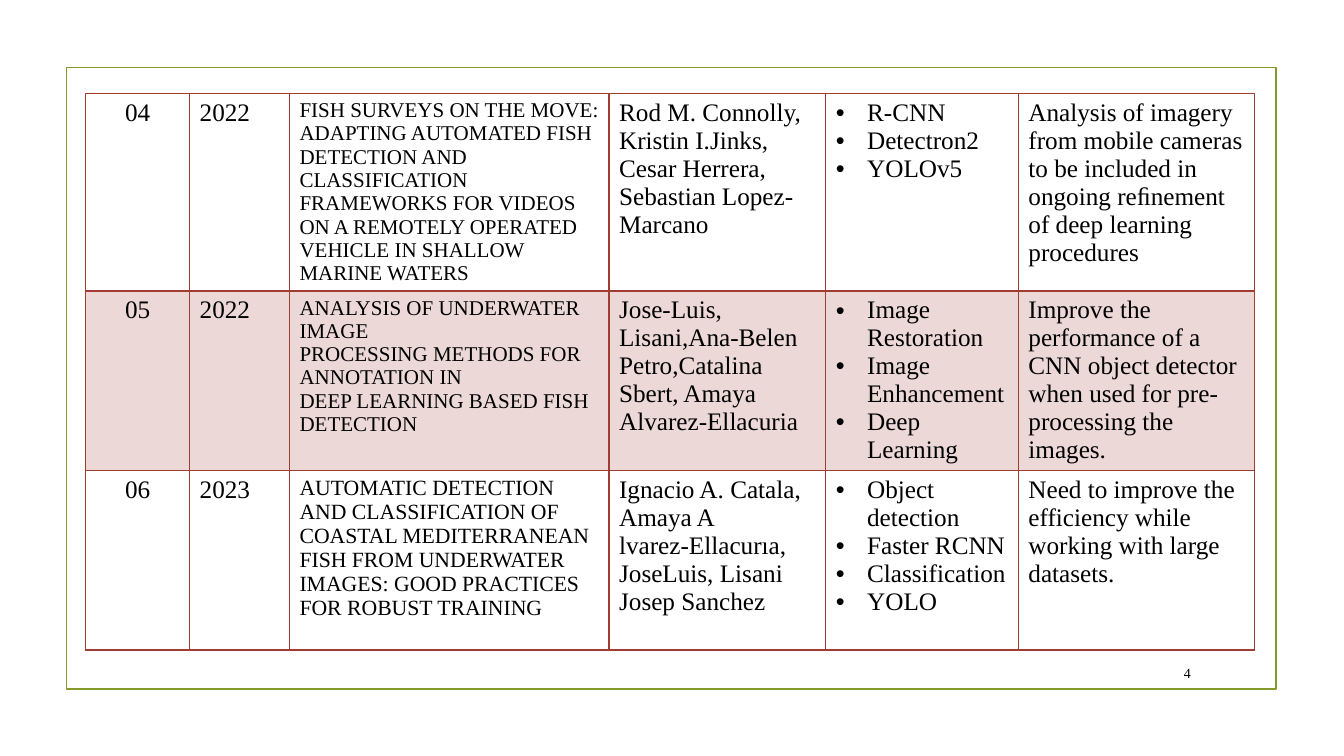
from dataclasses import dataclass

from pptx import Presentation
from pptx.dml.color import RGBColor as Rgb
from pptx.enum.shapes import MSO_SHAPE as Shape
from pptx.enum.text import MSO_ANCHOR as Anchor, PP_ALIGN as Align
from pptx.oxml import parse_xml
from pptx.oxml.ns import nsdecls
from pptx.util import Inches, Pt


@dataclass(frozen=True)
class Theme:
    font: str = "Times New Roman"
    ink: str = "000000"
    frame: str = "83992A"
    rule: str = "A23C33"
    tint: int = 20
    body: float = 18
    small: float = 10
    edge: float = 1.25
    pitch: float = 1.11


THEME = Theme()
WIDE, HIGH = Inches(13.33), Inches(7.5)

# Shares of the slide, in percent
FRAME = (4.95, 8.93, 90, 82.27)
PAGE = (84.92, 87.07, 4.43, 4.13)
ORIGIN = (6.38, 12.4)
COLS = (7.73, 7.43, 23.78, 16.13, 14.33, 17.55)
ROWS = (26.13, 23.73, 23.73)
TITLES = (15, 15, 15.5)
NUM, TITLE, TOOLS = 0, 2, 4

PAPERS = [
    ["04", "2022",
     "FISH SURVEYS ON THE MOVE: ADAPTING AUTOMATED FISH DETECTION AND "
     "CLASSIFICATION FRAMEWORKS FOR VIDEOS ON A REMOTELY OPERATED VEHICLE "
     "IN SHALLOW MARINE WATERS",
     "Rod M. Connolly, Kristin I.Jinks, Cesar Herrera, "
     "Sebastian Lopez-Marcano",
     "R-CNN\nDetectron2\nYOLOv5",
     "Analysis of imagery from mobile cameras to be included in\n"
     "ongoing reﬁnement of deep learning procedures"],
    ["05", "2022",
     "ANALYSIS OF UNDERWATER IMAGE\nPROCESSING METHODS FOR ANNOTATION IN\n"
     "DEEP LEARNING BASED FISH DETECTION",
     "Jose-Luis, Lisani,Ana-Belen Petro,Catalina Sbert, Amaya\n"
     "Alvarez-Ellacuria",
     "Image Restoration\nImage Enhancement\nDeep Learning",
     "Improve the performance of a CNN object detector when used for "
     "pre-processing the images."],
    ["06", "2023",
     "AUTOMATIC DETECTION AND CLASSIFICATION OF COASTAL MEDITERRANEAN FISH "
     "FROM UNDERWATER IMAGES: GOOD PRACTICES FOR ROBUST TRAINING",
     "Ignacio A. Catala, Amaya A\nlvarez-Ellacurıa,\nJoseLuis, Lisani\n"
     "Josep Sanchez",
     "Object detection\nFaster RCNN\nClassification\nYOLO",
     "Need to improve the efficiency while working with large datasets."],
]


def across(share):
    return round(WIDE * share / 100)


def down(share):
    return round(HIGH * share / 100)


def place(left, top, width, height):
    return across(left), down(top), across(width), down(height)


def style(item, form):
    for name, value in form.items():
        setattr(item, name, value)


def write(body, text, size, align=Align.LEFT, listed=False):
    """Fill a text frame, one paragraph per line of text."""
    for i, line in enumerate(text.split("\n")):
        para = body.add_paragraph() if i else body.paragraphs[0]
        style(para, {"alignment": align,
                     "line_spacing": Pt(size * THEME.pitch)})
        if listed:
            bullet(para)
        run = para.add_run()
        run.text = line
        style(run.font, {"name": THEME.font, "size": Pt(size), "bold": False})
        run.font.color.rgb = Rgb.from_string(THEME.ink)


def bullet(para):
    props = para._p.get_or_add_pPr()
    indent = Inches(0.31)
    props.set("marL", str(indent))
    props.set("indent", str(-indent))
    props.append(parse_xml(f'<a:buFont {nsdecls("a")} typeface="Arial"/>'))
    props.append(parse_xml(f'<a:buChar {nsdecls("a")} char="•"/>'))


def border(cell, sides):
    """Draw cell borders; sides maps L, R, T, B to points."""
    props = cell._tc.get_or_add_tcPr()
    for side, width in sides.items():
        props.append(parse_xml(
            f'<a:ln{side} {nsdecls("a")} w="{Pt(width)}"><a:solidFill>'
            f'<a:srgbClr val="{THEME.rule}"/></a:solidFill></a:ln{side}>'))


def shade(cell, tinted):
    """Give the cell a see-through tint, or no fill; call after border."""
    if not tinted:
        cell.fill.background()
        return
    cell.fill.solid()
    cell.fill.fore_color.rgb = Rgb.from_string(THEME.rule)
    color = cell._tc.tcPr[-1][0]
    color.append(parse_xml(
        f'<a:alpha {nsdecls("a")} val="{THEME.tint * 1000}"/>'))


def add_frame(slide):
    box = slide.shapes.add_shape(Shape.RECTANGLE, *place(*FRAME))
    box.shadow.inherit = False
    box.fill.background()
    box.line.color.rgb = Rgb.from_string(THEME.frame)
    box.line.width = Pt(THEME.edge)


def add_page(slide, text):
    body = slide.shapes.add_textbox(*place(*PAGE)).text_frame
    style(body, {"word_wrap": True, "vertical_anchor": Anchor.MIDDLE})
    write(body, text, THEME.small, Align.RIGHT)


def add_papers(slide):
    spot = place(*ORIGIN, sum(COLS), sum(ROWS))
    table = slide.shapes.add_table(len(ROWS), len(COLS), *spot).table
    style(table, {"first_row": False, "horz_banding": False})
    for col, share in zip(table.columns, COLS):
        col.width = across(share)
    for r, paper in enumerate(PAPERS):
        table.rows[r].height = down(ROWS[r])
        for c, text in enumerate(paper):
            cell = table.cell(r, c)
            cell.margin_bottom = 0
            write(cell.text_frame, text,
                  TITLES[r] if c == TITLE else THEME.body,
                  Align.CENTER if c == NUM else Align.LEFT, c == TOOLS)
            border(cell, {"L": 1, "R": 1, "T": 2 if r == 1 else 1,
                          "B": 2 if r == 0 else 1})
            shade(cell, r % 2 == 1)


def main():
    deck = Presentation()
    style(deck, {"slide_width": WIDE, "slide_height": HIGH})
    slide = deck.slides.add_slide(deck.slide_layouts[6])
    add_frame(slide)
    add_page(slide, "4")
    add_papers(slide)
    deck.save("out.pptx")


if __name__ == "__main__":
    main()
